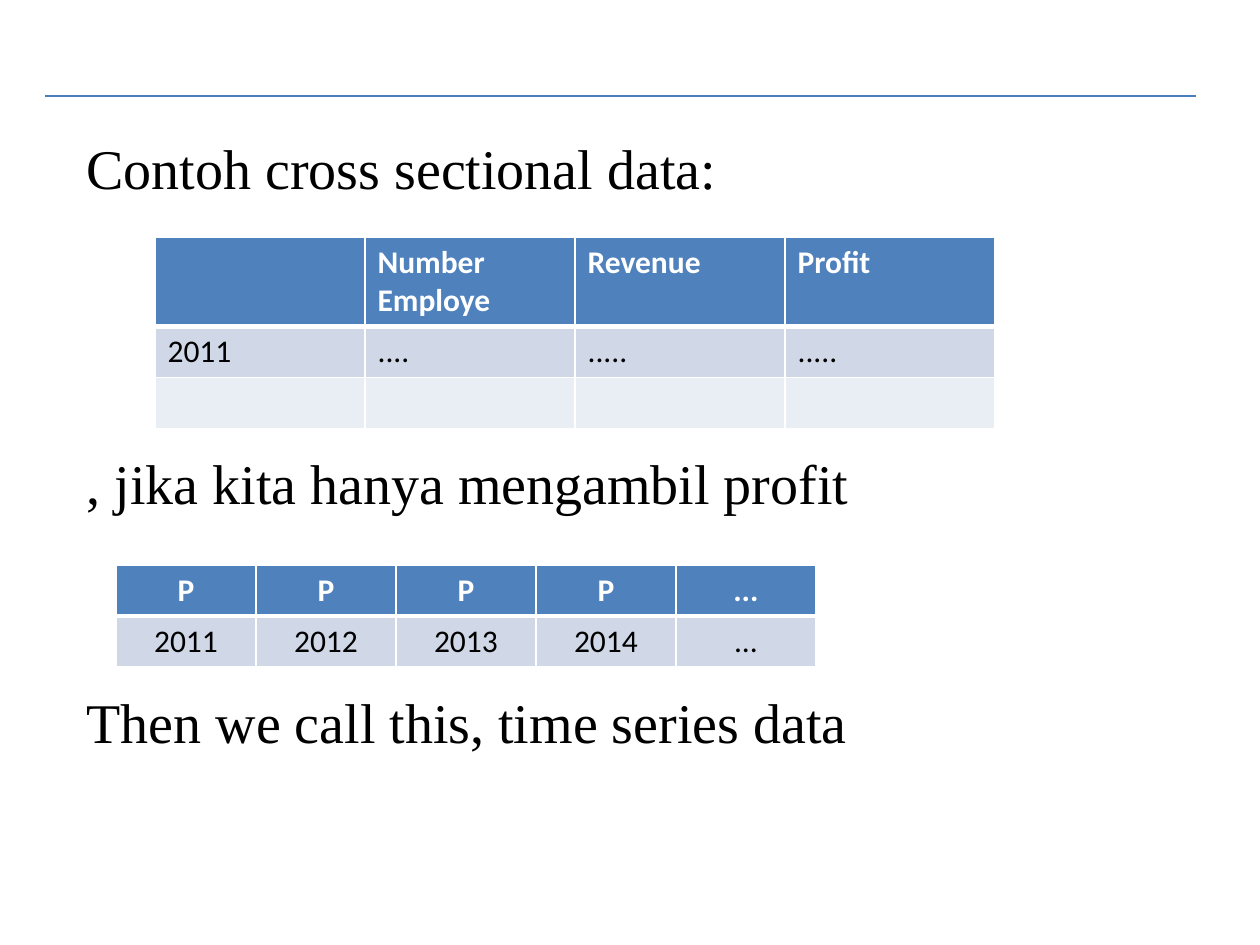
"""Builds a slide that contrasts cross sectional data with time series data."""
from lxml import etree
from pptx import Presentation
from pptx.dml.color import RGBColor
from pptx.enum import shapes, text
from pptx.oxml import ns
from pptx.util import Emu, Pt

PX = 914400 / 126
BLACK = RGBColor(0x00, 0x00, 0x00)
WHITE = RGBColor(0xFF, 0xFF, 0xFF)
HEADER = RGBColor(0x4F, 0x81, 0xBD)
RULE = RGBColor(0x4B, 0x7E, 0xBC)
BANDS = RGBColor(0xD0, 0xD8, 0xE8), RGBColor(0xE9, 0xED, 0xF4)


def px(length):
    return Emu(round(length * PX))


def write(paragraph, content, *, font, size, color=BLACK, bold=False,
          align=text.PP_ALIGN.LEFT, before=None):
    paragraph.alignment = align
    if before is not None:
        paragraph.space_before = Pt(before)
    run = paragraph.add_run()
    run.text = content
    run.font.name = font
    run.font.size = Pt(size)
    run.font.bold = bold
    run.font.color.rgb = color


class Deck:
    def __init__(self, slide, body_font, table_font):
        self.slide = slide
        self.body_font = body_font
        self.table_font = table_font

    def body(self, left, top, width, height, statements):
        holder = self.slide.placeholders[1]
        holder.left, holder.top = px(left), px(top)
        holder.width, holder.height = px(width), px(height)
        frame = holder.text_frame
        frame.auto_size = text.MSO_AUTO_SIZE.NONE
        for index, (statement, before) in enumerate(statements):
            paragraph = frame.add_paragraph() if index else frame.paragraphs[0]
            write(paragraph, statement, font=self.body_font, size=32, before=before)
            properties = paragraph._p.get_or_add_pPr()
            properties.set("marL", "0")
            properties.set("indent", "0")
            etree.SubElement(properties, ns.qn("a:buNone"))

    def border(self, cell, side, points):
        line = etree.SubElement(cell._tc.get_or_add_tcPr(), ns.qn(f"a:ln{side}"),
                                w=str(Pt(points)))
        fill = etree.SubElement(line, ns.qn("a:solidFill"))
        etree.SubElement(fill, ns.qn("a:srgbClr"), val=str(WHITE))

    def table(self, left, top, column_width, row_heights, rows, align):
        columns = len(rows[0])
        grid = self.slide.shapes.add_table(
            len(rows), columns, px(left), px(top),
            px(column_width * columns), px(sum(row_heights))).table
        for column in grid.columns:
            column.width = px(column_width)
        for r, (height, entries) in enumerate(zip(row_heights, rows)):
            grid.rows[r].height = px(height)
            for c, entry in enumerate(entries):
                cell = grid.cell(r, c)
                for side in "LRTB":
                    under_header = (r, side) in ((0, "B"), (1, "T"))
                    self.border(cell, side, 3 if under_header else 1)
                cell.fill.solid()
                cell.fill.fore_color.rgb = BANDS[(r - 1) % 2] if r else HEADER
                if entry:
                    write(cell.text_frame.paragraphs[0], entry, font=self.table_font,
                          size=18, color=BLACK if r else WHITE, bold=r == 0, align=align)

    def rule(self, left, right, y):
        line = self.slide.shapes.add_connector(
            shapes.MSO_CONNECTOR.STRAIGHT, px(left), px(y), px(right), px(y))
        line.line.color.rgb = RULE
        line.line.width = Pt(1.5)
        etree.SubElement(line._element.spPr, ns.qn("a:effectLst"))


def main():
    presentation = Presentation()
    presentation.slide_width, presentation.slide_height = px(1260), px(945)
    slide = presentation.slides.add_slide(presentation.slide_layouts[1])
    title = slide.shapes.title._element
    title.getparent().remove(title)

    deck = Deck(slide, "Times New Roman", "Calibri")
    deck.body(74, 127, 1134, 818, [
        ("Contoh cross sectional data:", None),
        (", jika kita hanya mengambil profit", 142),
        ("Then we call this, time series data", 98),
    ])
    deck.table(155, 237, 210, [89, 51, 51], [
        ["", "Number Employe", "Revenue", "Profit"],
        ["2011", "....", ".....", "....."],
        [""] * 4,
    ], text.PP_ALIGN.LEFT)
    deck.table(116, 565, 140, [51, 51], [
        ["P"] * 4 + ["..."],
        ["2011", "2012", "2013", "2014", "..."],
    ], text.PP_ALIGN.CENTER)
    deck.rule(45, 1196, 96)
    presentation.save("out.pptx")


if __name__ == "__main__":
    main()
